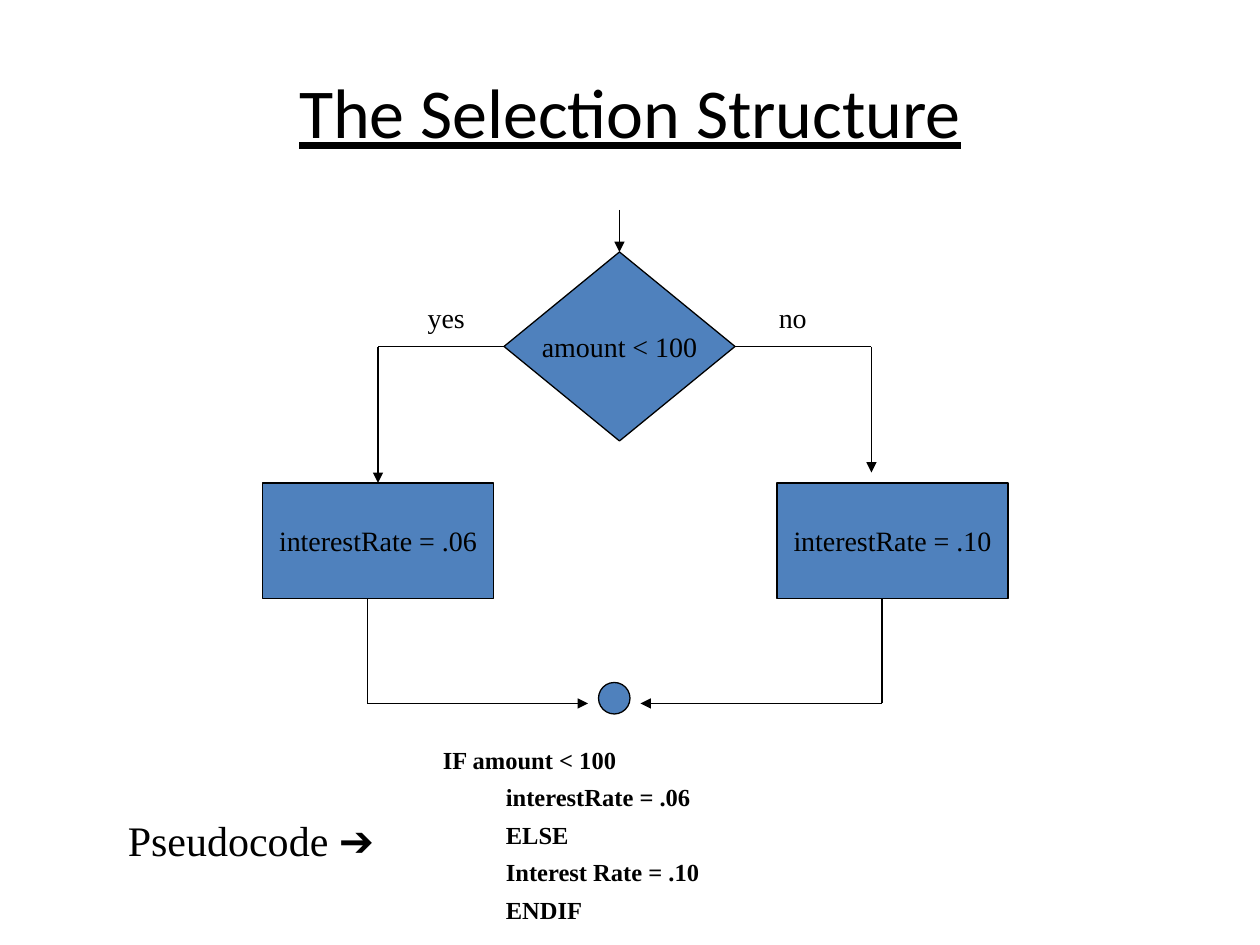
from lxml.etree import SubElement
from pptx import Presentation
from pptx.dml.color import RGBColor
from pptx.enum.shapes import MSO_CONNECTOR as Connector, MSO_SHAPE as Preset
from pptx.enum.text import MSO_ANCHOR as Anchor, MSO_AUTO_SIZE as AutoSize, PP_ALIGN as Align
from pptx.oxml.ns import qn
from pptx.util import Pt

EMU_PER_PX = 7620
COLORS = {"box": "4F81BD", "ink": "000000"}
TOP, LEFT, BOTTOM, RIGHT = range(4)


def px(*lengths):
    return [length * EMU_PER_PX for length in lengths]


class Flowchart:
    body_font = "Times New Roman"
    line_width = Pt(0.75)

    def __init__(self, slide):
        self.slide = slide

    def color(self, key):
        return RGBColor.from_string(COLORS[key])

    def run(self, paragraph, words, size, font=None, bold=None, underline=None):
        run = paragraph.add_run()
        run.text = words
        run.font.name = font or self.body_font
        run.font.size = Pt(size)
        run.font.bold = bold
        run.font.underline = underline
        run.font.color.rgb = self.color("ink")

    def title(self, words, box):
        heading = self.slide.shapes.title
        heading.left, heading.top, heading.width, heading.height = px(*box)
        frame = heading.text_frame
        frame.auto_size = AutoSize.NONE
        frame.vertical_anchor = Anchor.MIDDLE
        frame.paragraphs[0].alignment = Align.CENTER
        self.run(frame.paragraphs[0], words, 40, font="Calibri", underline=True)

    def node(self, preset, box, words=None):
        node = self.slide.shapes.add_shape(preset, *px(*box))
        node.shadow.inherit = False
        node.fill.solid()
        node.fill.fore_color.rgb = self.color("box")
        node.line.color.rgb = self.color("ink")
        node.line.width = self.line_width
        if words:
            frame = node.text_frame
            frame.word_wrap = False
            frame.vertical_anchor = Anchor.MIDDLE
            frame.paragraphs[0].alignment = Align.CENTER
            self.run(frame.paragraphs[0], words, 16)
        return node

    def line(self, start, end, arrow=False, leaves=None, enters=None):
        line = self.slide.shapes.add_connector(Connector.STRAIGHT, *px(*start, *end))
        line.line.color.rgb = self.color("ink")
        line.line.width = self.line_width
        if arrow:
            SubElement(line.line._get_or_add_ln(), qn("a:tailEnd"), type="triangle")
        SubElement(line._element.spPr, qn("a:effectLst"))
        if leaves:
            line.begin_connect(*leaves)
        if enters:
            line.end_connect(*enters)

    def text(self, box):
        frame = self.slide.shapes.add_textbox(*px(*box)).text_frame
        frame.word_wrap = True
        return frame

    def label(self, words, box):
        paragraph = self.text(box).paragraphs[0]
        paragraph.alignment = Align.CENTER
        self.run(paragraph, words, 16)

    def caption(self, words, arrow, box):
        paragraph = self.text(box).paragraphs[0]
        self.run(paragraph, words, 24)
        self.run(paragraph, arrow, 24, font="Arial")

    def pseudocode(self, first, indented, box):
        frame = self.text(box)
        for index, words in enumerate([first, *indented]):
            paragraph = frame.add_paragraph() if index else frame.paragraphs[0]
            paragraph.line_spacing = 0.75
            if index:
                paragraph.space_before = Pt(8.8)
                paragraph._p.get_or_add_pPr().set("marL", str(px(60)[0]))
            self.run(paragraph, words, 14, bold=True)


def main():
    presentation = Presentation()
    presentation.slide_width, presentation.slide_height = px(1200, 900)
    chart = Flowchart(presentation.slides.add_slide(presentation.slide_layouts[5]))

    chart.title("The Selection Structure", (90, 30, 1020, 150))
    decision = chart.node(Preset.FLOWCHART_DECISION, (480, 240, 220, 180), "amount < 100")
    low_rate, high_rate = [
        chart.node(Preset.FLOWCHART_PROCESS, (left, 460, 220, 110), words)
        for left, words in ((250, "interestRate = .06"), (740, "interestRate = .10"))
    ]

    chart.line((590, 200), (590, 240), arrow=True, enters=(decision, TOP))
    chart.line((700, 330), (830, 330), leaves=(decision, RIGHT))
    chart.line((480, 330), (360, 330), leaves=(decision, LEFT))
    chart.line((360, 330), (360, 460), arrow=True, enters=(low_rate, TOP))
    chart.line((830, 330), (830, 450), arrow=True)

    chart.node(Preset.FLOWCHART_CONNECTOR, (570, 650, 30, 30))
    for branch, merge in ((350, 560), (840, 610)):
        chart.line((branch, 570), (branch, 670))
        chart.line((branch, 670), (merge, 670), arrow=True)

    for words, left in (("yes", 370), ("no", 700)):
        chart.label(words, (left, 280, 110, 44))

    chart.pseudocode(
        "IF amount < 100",
        ["interestRate = .06", "ELSE", "Interest Rate = .10", "ENDIF"],
        (410, 710, 490, 176),
    )
    chart.caption("Pseudocode ", "➔", (110, 770, 300, 60))
    presentation.save("out.pptx")


if __name__ == "__main__":
    main()
